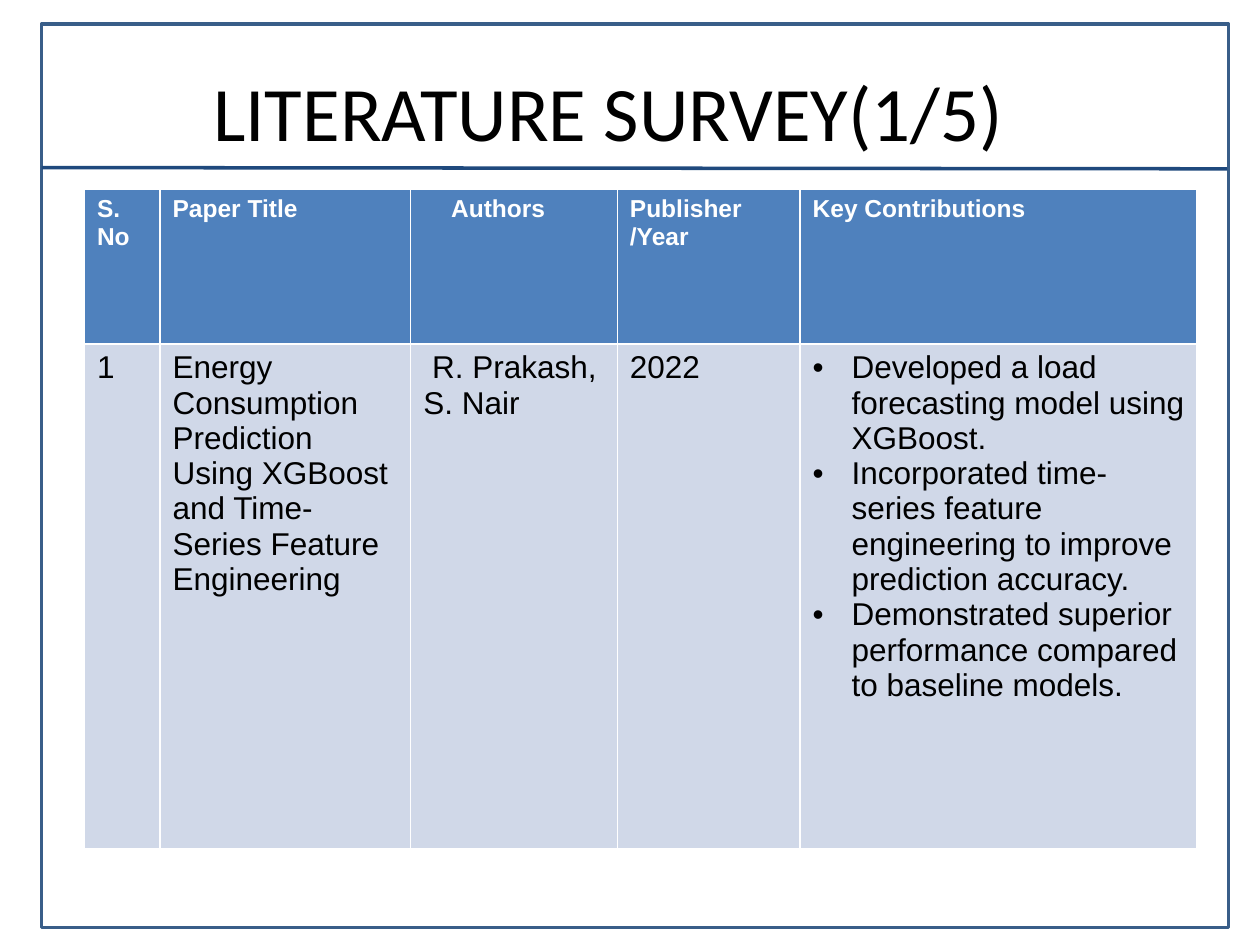
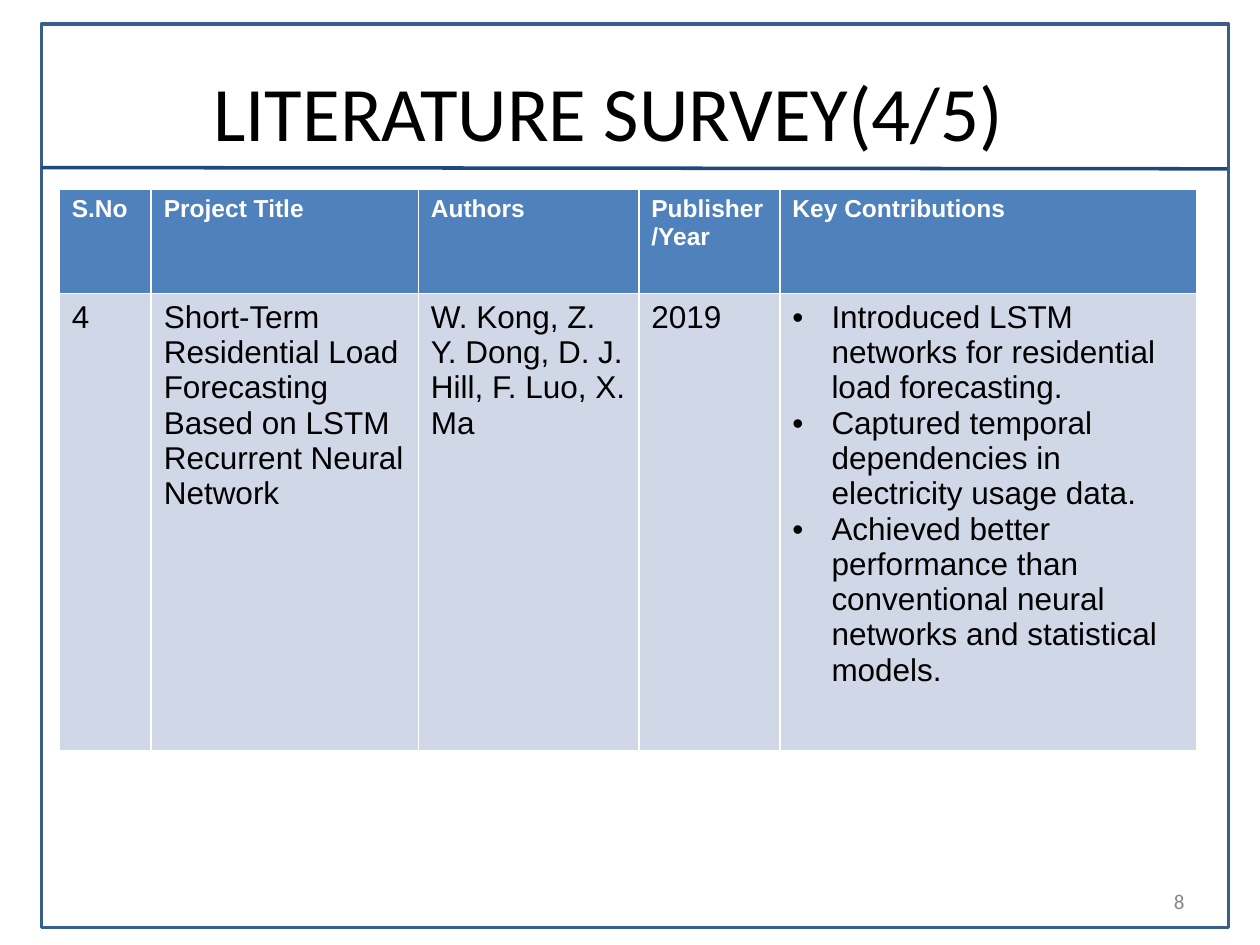
from lxml import etree
from pptx import Presentation
from pptx.dml.color import RGBColor
from pptx.enum.shapes import MSO_CONNECTOR, MSO_SHAPE
from pptx.enum.text import MSO_ANCHOR, PP_ALIGN
from pptx.oxml.ns import qn
from pptx.util import Inches, Pt

RECTANGLE = MSO_SHAPE.RECTANGLE
STRAIGHT = MSO_CONNECTOR.STRAIGHT
MIDDLE = MSO_ANCHOR.MIDDLE
CENTER, RIGHT = PP_ALIGN.CENTER, PP_ALIGN.RIGHT

BLACK = RGBColor(0x00, 0x00, 0x00)
WHITE = RGBColor(0xFF, 0xFF, 0xFF)
FRAME_BLUE = RGBColor(0x39, 0x5E, 0x89)
RULE_BLUE = RGBColor(0x1F, 0x49, 0x7D)
HEADER_BLUE = RGBColor(0x4F, 0x81, 0xBD)
BODY_BLUE = RGBColor(0xD0, 0xD8, 0xE8)
NUMBER_GREY = RGBColor(0x88, 0x88, 0x88)

BULLET_INDENT = 0.31
TABLE_TOP = 1.5
AUTHORS_COLUMN = 2

SURVEYS = [
    {
        "title": "LITERATURE SURVEY(1/5)",
        "page_number": None,
        "left": 0.67,
        "columns": [0.6, 1.99, 1.64, 1.45, 3.15],
        "rows": [1.23, 4.01],
        "authors_indents": [0.22, 0.07],
        "header": ["S. No", "Paper Title", "Authors", "Publisher /Year", "Key Contributions"],
        "paper": [
            "1",
            "Energy Consumption Prediction Using XGBoost and Time-Series Feature Engineering",
            "R. Prakash, S. Nair",
            "2022",
        ],
        "contributions": [
            "Developed a load forecasting model using XGBoost.",
            "Incorporated time-series feature engineering to improve prediction accuracy.",
            "Demonstrated superior performance compared to baseline models.",
        ],
    },
    {
        "title": "LITERATURE SURVEY(4/5)",
        "page_number": "8",
        "left": 0.47,
        "columns": [0.73, 2.12, 1.75, 1.12, 3.31],
        "rows": [0.83, 3.63],
        "authors_indents": [0, 0],
        "header": ["S.No", "Project Title", "Authors", "Publisher /Year", "Key Contributions"],
        "paper": [
            "4",
            "Short-Term Residential Load Forecasting Based on LSTM Recurrent Neural Network",
            "W. Kong, Z. Y. Dong, D. J. Hill, F. Luo, X. Ma",
            "2019",
        ],
        "contributions": [
            "Introduced LSTM networks for residential load forecasting.",
            "Captured temporal dependencies in electricity usage data.",
            "Achieved better performance than conventional neural networks and statistical models.",
        ],
    },
]


def style_font(para, name, size, color, bold=False):
    para.font.name = name
    para.font.size = Pt(size)
    para.font.color.rgb = color
    para.font.bold = bold


def indent_paragraph(para, left, first_line):
    properties = para._p.get_or_add_pPr()
    properties.set("marL", str(Inches(left)))
    properties.set("indent", str(Inches(first_line)))
    return properties


def add_bullet(para):
    properties = indent_paragraph(para, BULLET_INDENT, -BULLET_INDENT)
    color = etree.SubElement(properties, qn("a:buClr"))
    etree.SubElement(color, qn("a:srgbClr"), val=str(BLACK))
    etree.SubElement(properties, qn("a:buFont"), typeface="Arial")
    etree.SubElement(properties, qn("a:buChar"), char="•")


def add_frame(slide):
    frame = slide.shapes.add_shape(
        RECTANGLE, Inches(0.33), Inches(0.19), Inches(9.42), Inches(7.17))
    frame.shadow.inherit = False
    frame.fill.background()
    frame.line.color.rgb = FRAME_BLUE
    frame.line.width = Pt(2)
    rule = slide.shapes.add_connector(
        STRAIGHT, Inches(0.33), Inches(1.33), Inches(9.74), Inches(1.34))
    rule.line.color.rgb = RULE_BLUE
    rule.line.width = Pt(2)
    etree.SubElement(rule._element.spPr, qn("a:effectLst"))


def set_title(slide, text):
    title = slide.shapes.title
    title.left, title.top = Inches(0.33), Inches(0.25)
    title.width, title.height = Inches(9), Inches(1.25)
    title.text_frame.text = text
    title.text_frame.vertical_anchor = MIDDLE
    para = title.text_frame.paragraphs[0]
    para.alignment = CENTER
    style_font(para, "Calibri", 44, BLACK)


def add_page_number(slide, number):
    box = slide.shapes.add_textbox(
        Inches(7.17), Inches(6.95), Inches(2.33), Inches(0.4))
    box.text_frame.word_wrap = True
    box.text_frame.vertical_anchor = MIDDLE
    para = box.text_frame.paragraphs[0]
    para.text = number
    para.alignment = RIGHT
    style_font(para, "Calibri", 12, NUMBER_GREY)


def add_survey_table(slide, survey):
    columns, rows = survey["columns"], survey["rows"]
    table = slide.shapes.add_table(
        len(rows), len(columns), Inches(survey["left"]), Inches(TABLE_TOP),
        Inches(sum(columns)), Inches(sum(rows))).table
    for column, width in zip(table.columns, columns):
        column.width = Inches(width)
    for row, height in zip(table.rows, rows):
        row.height = Inches(height)

    contents = [survey["header"], survey["paper"] + ["\n".join(survey["contributions"])]]
    looks = [(HEADER_BLUE, 14, WHITE, True), (BODY_BLUE, 18, BLACK, False)]
    for row_index, (texts, look) in enumerate(zip(contents, looks)):
        fill, size, color, bold = look
        for column_index, text in enumerate(texts):
            cell = table.cell(row_index, column_index)
            cell.fill.solid()
            cell.fill.fore_color.rgb = fill
            cell.text = text
            for para in cell.text_frame.paragraphs:
                if row_index == 1 and column_index == len(columns) - 1:
                    add_bullet(para)
                elif column_index == AUTHORS_COLUMN:
                    indent_paragraph(para, 0, survey["authors_indents"][row_index])
                style_font(para, "Arial", size, color, bold)


def main():
    deck = Presentation()
    deck.slide_width, deck.slide_height = Inches(10), Inches(7.5)
    title_only = deck.slide_layouts[5]
    for survey in SURVEYS:
        slide = deck.slides.add_slide(title_only)
        add_frame(slide)
        set_title(slide, survey["title"])
        if survey["page_number"]:
            add_page_number(slide, survey["page_number"])
        add_survey_table(slide, survey)
    deck.save("out.pptx")


if __name__ == "__main__":
    main()
